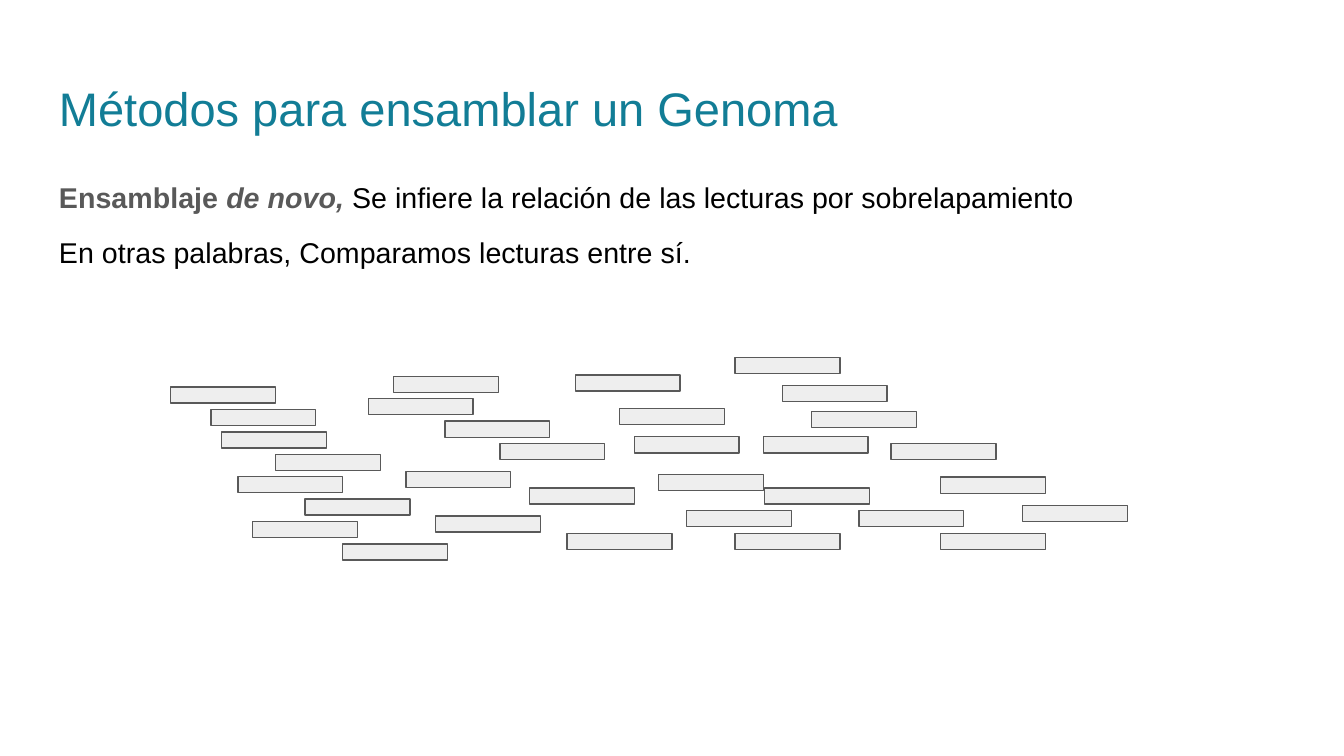
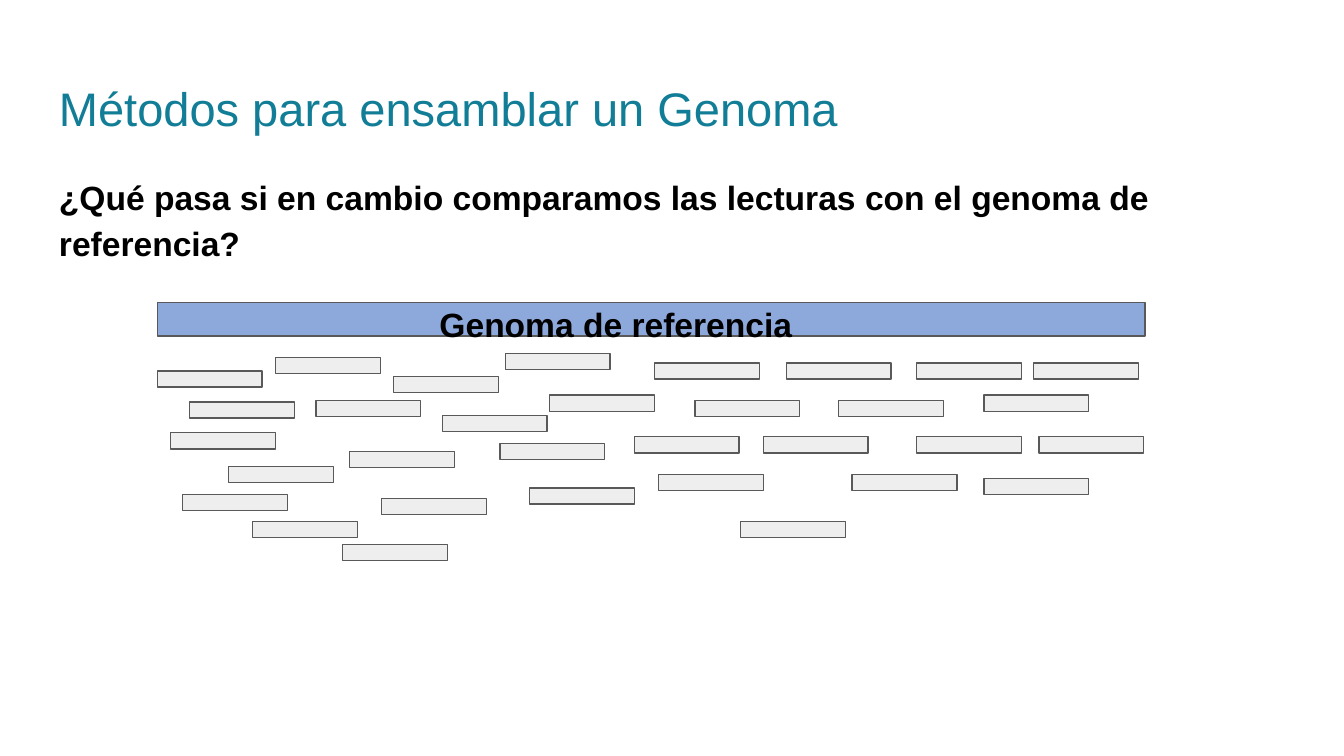
from dataclasses import dataclass
from typing import NamedTuple

from pptx import Presentation
from pptx.dml.color import RGBColor
from pptx.enum.shapes import MSO_SHAPE as Preset
from pptx.enum.text import MSO_ANCHOR as Anchor, PP_ALIGN as Align
from pptx.presentation import Presentation as Deck
from pptx.slide import Slide
from pptx.util import Inches, Pt

WHITE = RGBColor(0xFF, 0xFF, 0xFF)
BLACK = RGBColor(0x00, 0x00, 0x00)
TEAL = RGBColor(0x12, 0x7D, 0x96)
GRAY = RGBColor(0x59, 0x59, 0x59)
READ_FILL = RGBColor(0xEE, 0xEE, 0xEE)
REFERENCE_FILL = RGBColor(0x8D, 0xA9, 0xDB)

FONT = "Arial"
TITLE = "Métodos para ensamblar un Genoma"
READ_WIDTH, READ_HEIGHT = 0.78, 0.12
INSET = 0.1


class Area(NamedTuple):
    left: float
    top: float
    width: float
    height: float


TITLE_AREA = Area(0.34, 0.49, 9.32, 0.63)
REFERENCE_AREA = Area(1.17, 2.25, 7.35, 0.25)
REFERENCE_LABEL_AREA = Area(3.1, 2.12, 3.28, 0.5)


@dataclass(frozen=True)
class Span:
    text: str
    size: float
    color: RGBColor = BLACK
    bold: bool = False
    italic: bool = False


@dataclass(frozen=True)
class Para:
    spans: list[Span]
    line_spacing: float = 1.0
    space_before: float = 0
    space_after: float = 0


@dataclass(frozen=True)
class Column:
    tops: list[float]
    lefts: list[float]


def staircase(top: float, lefts: list[float]) -> Column:
    return Column([top + row / 6 for row in range(len(lefts))], lefts)


DE_NOVO_READS = [
    staircase(2.88, [1.27, 1.57, 1.65, 2.05, 1.77, 2.27, 1.88, 2.55]),
    staircase(2.8, [2.93, 2.74, 3.31, 3.72]),
    Column([3.51, 3.63, 3.84, 3.97], [3.02, 3.94, 3.24, 4.22]),
    Column([2.79, 3.04, 3.25, 3.25], [4.28, 4.61, 4.72, 5.68]),
    Column([3.53, 3.63, 3.8, 3.97], [4.9, 5.69, 5.11, 5.47]),
    Column([2.87, 3.06, 2.66, 3.3], [5.82, 6.04, 5.47, 6.63]),
    Column([3.55, 3.76, 3.8, 3.97], [7, 7.61, 6.39, 7]),
]

REFERENCE_READS = [
    Column([2.76, 2.99, 3.22, 3.47, 3.68], [1.17, 1.41, 1.27, 1.7, 1.36]),
    Column([2.66, 3.88, 4.05], [2.05, 1.88, 2.55]),
    Column([2.8, 2.98, 3.09, 3.3], [2.93, 2.35, 3.29, 3.72]),
    Column([3.36, 3.63, 3.71, 3.88], [2.6, 3.94, 2.84, 5.51]),
    Column([2.63, 2.94, 3.25, 3.25], [3.76, 4.09, 4.72, 5.68]),
    Column([3.53, 3.53, 3.56, 2.7], [4.9, 6.34, 7.32, 7.69]),
    Column([2.98, 2.7, 2.7, 2.7], [5.17, 5.85, 4.87, 6.82]),
    Column([2.98, 2.94, 3.25, 3.25], [6.24, 7.32, 7.73, 6.82]),
]


def add_text(page: Slide, area: Area, paras: list[Para],
             left_inset: float = INSET) -> None:
    frame = page.shapes.add_textbox(*map(Inches, area)).text_frame
    frame.word_wrap = True
    frame.vertical_anchor = Anchor.TOP
    frame.margin_left = Inches(left_inset)
    frame.margin_top = frame.margin_right = frame.margin_bottom = Inches(INSET)
    for index, para in enumerate(paras):
        paragraph = frame.add_paragraph() if index else frame.paragraphs[0]
        paragraph.alignment = Align.LEFT
        paragraph.line_spacing = para.line_spacing
        paragraph.space_before = Pt(para.space_before)
        paragraph.space_after = Pt(para.space_after)
        for span in para.spans:
            run = paragraph.add_run()
            run.text = span.text
            run.font.name = FONT
            run.font.size = Pt(span.size)
            run.font.color.rgb = span.color
            run.font.bold = span.bold
            run.font.italic = span.italic


def add_bar(page: Slide, area: Area, fill: RGBColor) -> None:
    bar = page.shapes.add_shape(Preset.RECTANGLE, *map(Inches, area))
    bar.shadow.inherit = False
    bar.fill.solid()
    bar.fill.fore_color.rgb = fill
    bar.line.color.rgb = GRAY
    bar.line.width = Pt(0.75)


def add_reads(page: Slide, columns: list[Column]) -> None:
    for column in columns:
        for left, top in zip(column.lefts, column.tops):
            add_bar(page, Area(left, top, READ_WIDTH, READ_HEIGHT), READ_FILL)


def add_page(deck: Deck, body_area: Area, body: list[Para],
             reads: list[Column]) -> Slide:
    page = deck.slides.add_slide(deck.slide_layouts[6])
    page.background.fill.solid()
    page.background.fill.fore_color.rgb = WHITE
    add_text(page, TITLE_AREA, [Para([Span(TITLE, 25.2, TEAL)])])
    add_text(page, body_area, body)
    add_reads(page, reads)
    return page


def main() -> None:
    deck = Presentation()
    deck.slide_width = Inches(10)
    deck.slide_height = Inches(10 * 9 / 16)

    de_novo = [
        Para([
            Span("Ensamblaje ", 15.3, GRAY, bold=True),
            Span("de novo, ", 15.3, GRAY, bold=True, italic=True),
            Span("Se infiere la relación de las lecturas por sobrelapamiento", 15.3),
        ], 0.95),
        Para([Span("En otras palabras, Comparamos lecturas entre sí.", 15.3)],
             0.95, space_before=12),
    ]
    add_page(deck, Area(0.34, 1.26, 9.32, 1.31), de_novo, DE_NOVO_READS)

    question = Span("¿Qué pasa si en cambio comparamos las lecturas con el genoma "
                    "de referencia?", 18, bold=True)
    page = add_page(deck, Area(0.34, 1.17, 9.32, 1.76), [Para([question], 1.15)],
                    REFERENCE_READS)
    add_bar(page, REFERENCE_AREA, REFERENCE_FILL)
    label = Span("Genoma de referencia", 18, bold=True)
    add_text(page, REFERENCE_LABEL_AREA, [Para([label], 1.15, space_after=12)],
             left_inset=0.17)

    deck.save("out.pptx")


if __name__ == "__main__":
    main()
